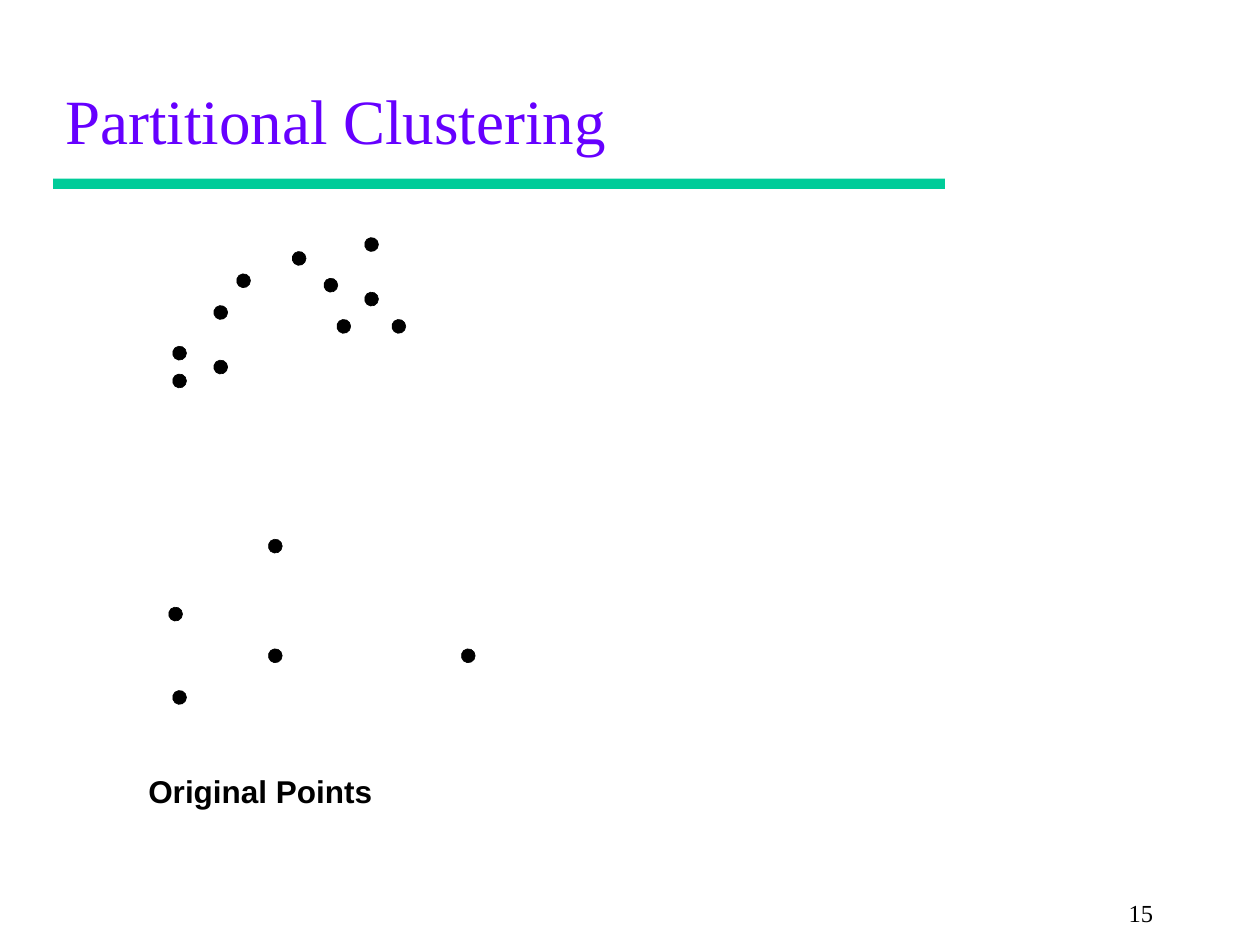
from math import cos, pi, sin

from pptx import Presentation
from pptx import util as u
from pptx.dml.color import RGBColor
from pptx.enum import shapes, text

THEME = {
    "ink": RGBColor(0x00, 0x00, 0x00),
    "bar": RGBColor(0x00, 0xCC, 0x99),
    "title": {"name": "Times New Roman", "size": u.Pt(36), "bold": False},
    "title_color": RGBColor(0x66, 0x00, 0xFF),
    "caption": {"name": "Arial", "size": u.Pt(18), "bold": True},
    "number": {"name": "Times New Roman", "size": u.Pt(14), "bold": False},
    "outline": u.Pt(0.38),
}


def write(box, words, font, color, align, anchor):
    """Fill a box with one formatted line of text."""
    frame = box.text_frame
    frame.word_wrap = True
    frame.auto_size = text.MSO_AUTO_SIZE.NONE
    frame.vertical_anchor = anchor
    para = frame.paragraphs[0]
    para.alignment = align
    span = para.add_run()
    span.text = words
    for name, value in font.items():
        setattr(span.font, name, value)
    span.font.color.rgb = color


def paint(shape, color):
    """Give a shape a plain fill without a shadow."""
    shape.shadow.inherit = False
    shape.fill.solid()
    shape.fill.fore_color.rgb = color


deck = Presentation()
deck.slide_width, deck.slide_height = u.Cm(25.4), u.Cm(19.05)
page = deck.slides.add_slide(deck.slide_layouts[5])

# Title and the bar below it
title = page.shapes.title
place = {"left": 1.07, "top": 1.65, "width": 23.01, "height": 1.52}
for name, value in place.items():
    setattr(title, name, u.Cm(value))
write(title, "Partitional Clustering", THEME["title"], THEME["title_color"],
      text.PP_ALIGN.LEFT, text.MSO_ANCHOR.MIDDLE)

bar = page.shapes.add_shape(shapes.MSO_SHAPE.RECTANGLE,
                            u.Cm(1.07), u.Cm(3.6), u.Cm(17.98), u.Cm(0.21))
paint(bar, THEME["bar"])
bar.line.fill.background()

# Data points: centres in cm, each drawn as an eleven-sided dot
RADIUS, SIDES = 0.14, 11
points = [
    (3.62, 7.12), (3.62, 7.68), (5.55, 13.22), (4.45, 7.4),
    (5.55, 11.01), (6.03, 5.21), (6.67, 5.75), (6.93, 6.58),
    (8.04, 6.58), (7.49, 6.03), (7.49, 4.93), (9.44, 13.22),
    (4.45, 6.3), (3.54, 12.38), (3.62, 14.06), (4.91, 5.66),
]
angles = [2 * pi * side / SIDES for side in range(SIDES)]
for x, y in points:
    corners = [(u.Cm(x + RADIUS * cos(a)), u.Cm(y + RADIUS * sin(a)))
               for a in angles]
    outline = page.shapes.build_freeform(*corners[0])
    outline.add_line_segments(corners[1:], close=True)
    dot = outline.convert_to_shape()
    paint(dot, THEME["ink"])
    dot.line.color.rgb = THEME["ink"]
    dot.line.width = THEME["outline"]

# Caption and page number
labels = [
    ("Original Points", (2.74, 15.44, 6.55, 1.02), "caption", text.PP_ALIGN.LEFT),
    ("15", (18.42, 17.98, 5.08, 0.64), "number", text.PP_ALIGN.RIGHT),
]
for words, spot, style, align in labels:
    box = page.shapes.add_textbox(*[u.Cm(value) for value in spot])
    write(box, words, THEME[style], THEME["ink"], align, text.MSO_ANCHOR.TOP)

deck.save("out.pptx")
